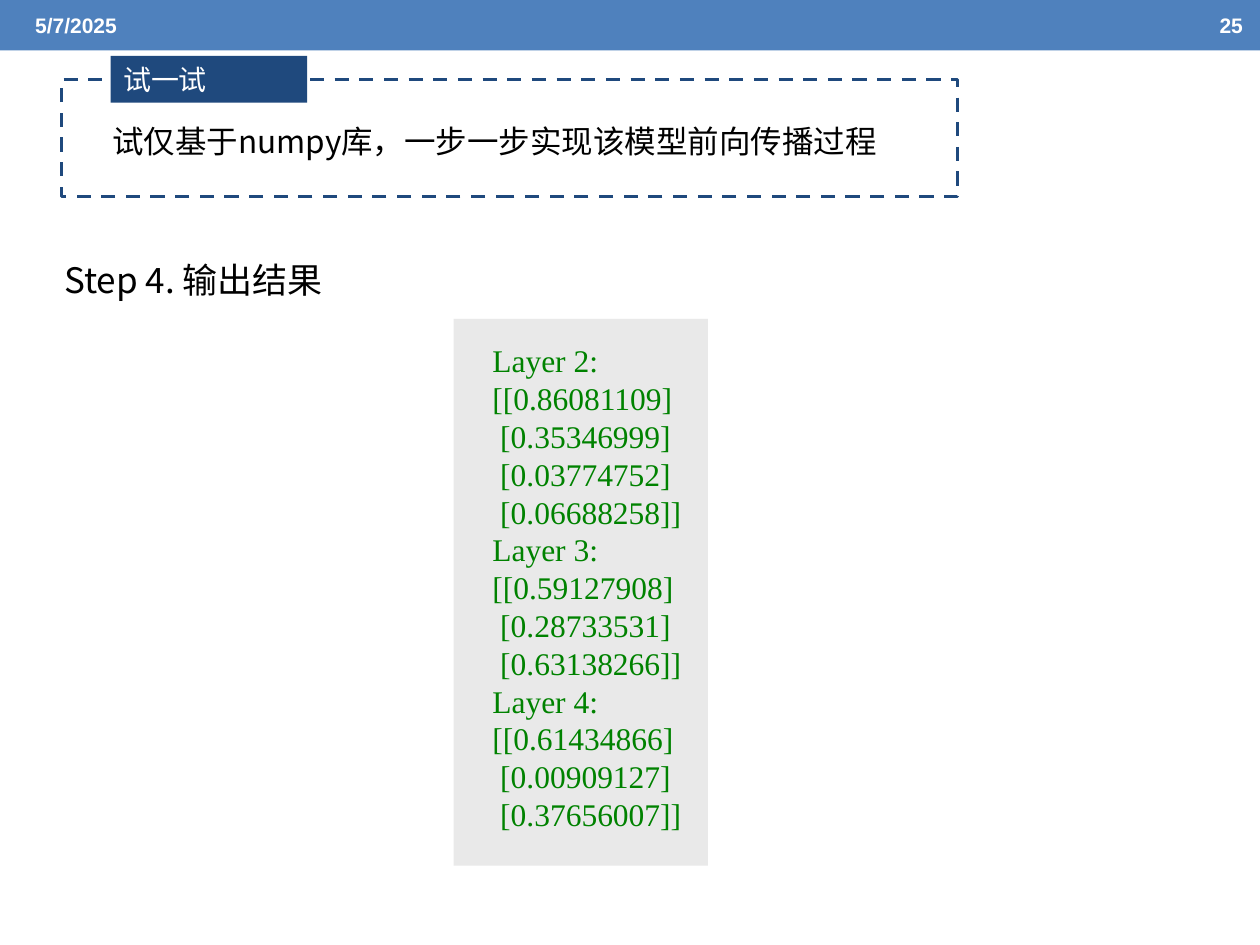
from lxml import etree
from pptx import Presentation
from pptx.dml.color import RGBColor
from pptx.enum import dml, shapes, text
from pptx.oxml import ns
from pptx.util import Pt

BLUE = RGBColor(0x4F, 0x81, 0xBD)
NAVY = RGBColor(0x1F, 0x49, 0x7D)
GREY = RGBColor(0xBF, 0xBF, 0xBF)
GREEN = RGBColor(0x00, 0x82, 0x00)
BLACK = RGBColor(0, 0, 0)
WHITE = RGBColor(255, 255, 255)
CJK = "Noto Sans CJK SC"

OUTPUT = [
    "Layer 2:",
    "[[0.86081109]",
    " [0.35346999]",
    " [0.03774752]",
    " [0.06688258]]",
    "Layer 3:",
    "[[0.59127908]",
    " [0.28733531]",
    " [0.63138266]]",
    "Layer 4:",
    "[[0.61434866]",
    " [0.00909127]",
    " [0.37656007]]",
]


def add_rect(s, x, y, w, h, fill=None):
    sp = s.shapes.add_shape(
        shapes.MSO_SHAPE.RECTANGLE, Pt(x), Pt(y), Pt(w), Pt(h))
    sp.shadow.inherit = False
    sp.line.fill.background()
    if fill is None:
        sp.fill.background()
    else:
        sp.fill.solid()
        sp.fill.fore_color.rgb = fill
    return sp


def write(sp, lines, size, font, color, bold=False, middle=False, pitch=None):
    tf = sp.text_frame
    tf.word_wrap = True
    anchor = text.MSO_ANCHOR
    tf.vertical_anchor = anchor.MIDDLE if middle else anchor.TOP
    for i, line in enumerate(lines):
        p = tf.paragraphs[0] if i == 0 else tf.add_paragraph()
        p.alignment = text.PP_ALIGN.LEFT
        if pitch:
            p.line_spacing = Pt(pitch)
        r = p.add_run()
        r.text = line
        r.font.size = Pt(size)
        r.font.name = font
        r.font.bold = bold
        r.font.color.rgb = color
        ea = etree.SubElement(r.font._element, ns.qn("a:ea"))
        ea.set("typeface", font)


def add_text(s, x, y, w, h, lines, size, font, color, **style):
    sp = s.shapes.add_textbox(Pt(x), Pt(y), Pt(w), Pt(h))
    write(sp, lines, size, font, color, **style)
    return sp


def header(s, x, y, w, h):
    add_rect(s, x, y, w, h, BLUE)
    for left, width, label in ((13, 228, "5/7/2025"), (w - 30.2, 30.2, "25")):
        add_text(s, x + left, y + 1.4, width, h - 2.8, [label],
                 12, "Arial", WHITE, bold=True, middle=True)


def exercise(s, x, y, w, h):
    frame = add_rect(s, x, y, w, h)
    frame.line.color.rgb = NAVY
    frame.line.width = Pt(2)
    frame.line.dash_style = dml.MSO_LINE.DASH
    task = add_text(s, x, y + 21, w + 38, 54,
                    ["试仅基于numpy库，一步一步实现该模型前向传播过程"],
                    18, CJK, BLACK)
    task.text_frame.margin_left = Pt(28.8)
    tag = add_rect(s, x + 28, y - 13.5, 112.3, 26.8, NAVY)
    write(tag, ["试一试"], 16, CJK, WHITE, middle=True)


def step(s, x, y, w, h):
    add_text(s, x, y, w, h, ["Step 4. 输出结果"], 20, CJK, BLACK)


def result(s, x, y, w, h):
    panel = add_rect(s, x, y, w, h, GREY)
    color = panel.fill._xPr.find(".//" + ns.qn("a:srgbClr"))
    etree.SubElement(color, ns.qn("a:alpha")).set("val", "34000")
    add_text(s, x + 15.1, y + 9.4, w + 21, h - 21.6, OUTPUT,
             18, "Times New Roman", GREEN, pitch=21.6)


def main():
    prs = Presentation()
    prs.slide_width, prs.slide_height = Pt(720), Pt(540)
    s = prs.slides.add_slide(prs.slide_layouts[6])
    header(s, 0, 0, 720, 28.8)
    step(s, 29.5, 144, 660, 40)
    exercise(s, 35.3, 45.4, 512, 67)
    result(s, 259.2, 182.2, 145.4, 312.5)
    prs.save("out.pptx")


if __name__ == "__main__":
    main()
